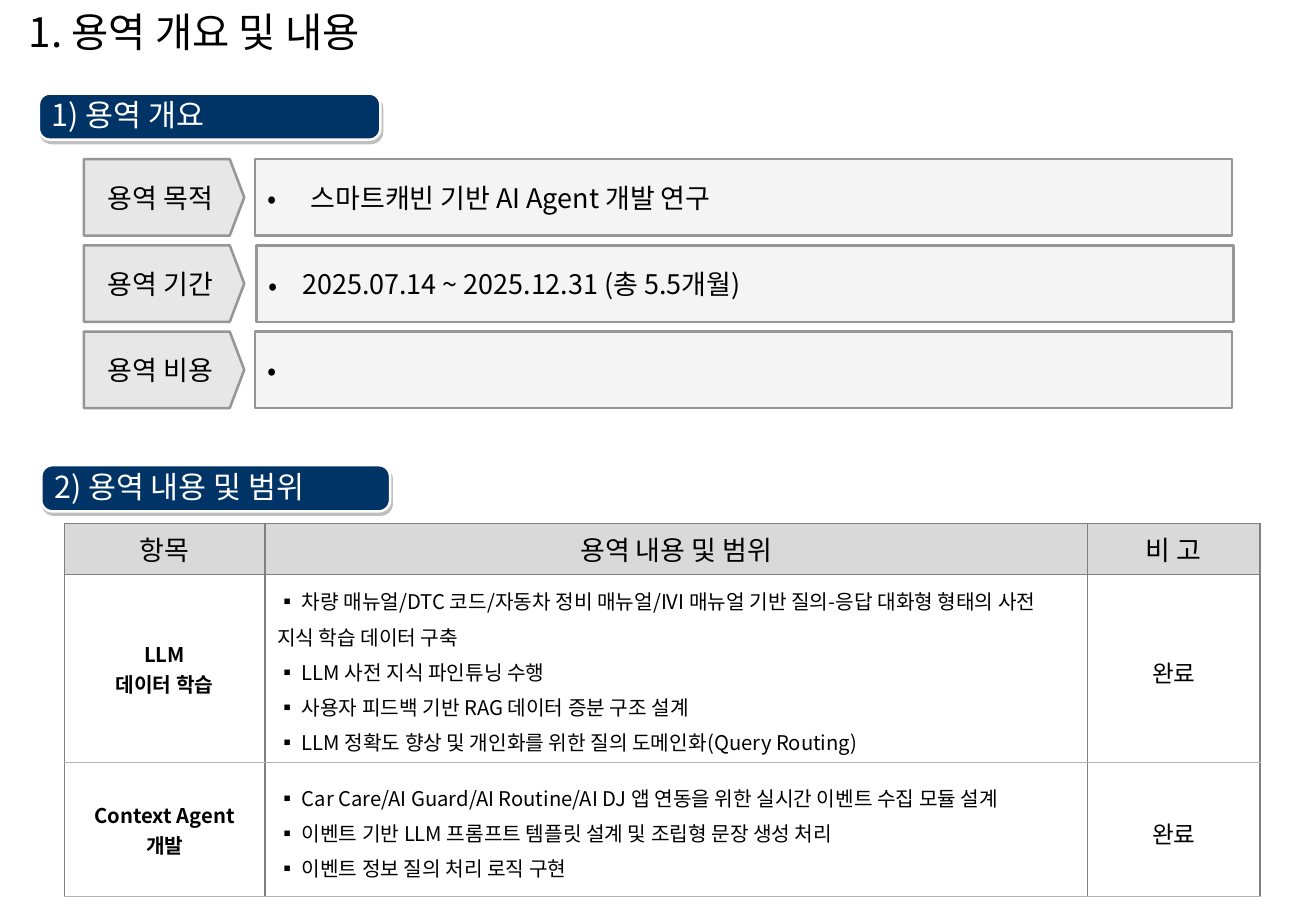
from lxml.etree import SubElement
from pptx import Presentation
from pptx.dml.color import RGBColor
from pptx.enum.shapes import MSO_SHAPE as SHAPE
from pptx.enum.text import MSO_ANCHOR as ANCHOR, PP_ALIGN as ALIGN
from pptx.oxml.ns import qn
from pptx.util import Pt

PX = 9144
FONT = "Noto Sans CJK KR"
COLORS = {
    "black": "000000", "white": "FFFFFF", "navy": "003366", "pale": "DDDDDD",
    "edge": "969696", "header": "D9D9D9", "grid": "808080", "soft_grid": "B3B3B3",
}


def rgb(name):
    return RGBColor.from_string(COLORS[name])


def write(frame, lines, size, color="black", align=ALIGN.LEFT, bold=False,
          spacing=None, bullet=None, indent=0):
    frame.word_wrap = True
    frame.vertical_anchor = ANCHOR.MIDDLE
    frame.text = "\n".join(lines)
    for paragraph in frame.paragraphs:
        paragraph.alignment = align
        if spacing:
            paragraph.line_spacing = spacing
        if bullet:
            props = paragraph._p.get_or_add_pPr()
            props.set("marL", str(indent * PX))
            props.set("indent", str(-indent * PX))
            SubElement(props, qn("a:buFont"), typeface=FONT)
            SubElement(props, qn("a:buChar"), char=bullet)
        for run in paragraph.runs:
            run.font.size = Pt(size)
            run.font.bold = bold
            run.font.color.rgb = rgb(color)
            run.font.name = FONT
            run._r.rPr.set("kern", "0")
            latin = run._r.rPr.find(qn("a:latin"))
            latin.addnext(latin.makeelement(qn("a:ea"), typeface=FONT))


deck = Presentation()
deck.slide_width, deck.slide_height = 1083 * PX, 750 * PX
slide = deck.slides.add_slide(deck.slide_layouts[6])
shapes = slide.shapes

title = shapes.add_textbox(14 * PX, 2 * PX, 950 * PX, 47 * PX)
write(title.text_frame, ["1. 용역 개요 및 내용"], 24)

for heading, left, top, width in [
    ("1) 용역 개요", 32, 77, 281),
    ("2) 용역 내용 및 범위", 34, 383, 287),
]:
    banner = shapes.add_shape(SHAPE.ROUNDED_RECTANGLE, left * PX, top * PX, width * PX, 38 * PX)
    banner.adjustments[0] = 0.24
    banner.fill.solid()
    banner.fill.fore_color.rgb = rgb("navy")
    banner.line.color.rgb = rgb("white")
    banner.line.width = Pt(1.5)
    banner.shadow.inherit = False
    effects = banner._element.spPr.find(qn("a:effectLst"))
    shadow = SubElement(effects, qn("a:outerShdw"), blurRad="0", dist=str(Pt(2.2)),
                        dir=str(63 * 60000), algn="ctr", rotWithShape="0")
    shade = SubElement(shadow, qn("a:srgbClr"), val=COLORS["grid"])
    SubElement(shade, qn("a:alpha"), val="50000")
    frame = banner.text_frame
    frame.margin_left = 8 * PX
    frame.margin_top = frame.margin_right = frame.margin_bottom = 0
    write(frame, [heading], 18, "white", spacing=0.9)

for row, (label, detail, left, indent) in enumerate([
    ("용역 목적", "스마트캐빈 기반 AI Agent 개발 연구", 210, 36),
    ("용역 기간", "2025.07.14 ~ 2025.12.31 (총 5.5개월)", 211, 28),
    ("용역 비용", "", 210, 0),
]):
    top = 131 + 71 * row
    tag = shapes.add_shape(SHAPE.PENTAGON, 69 * PX, top * PX, 132 * PX, 63 * PX)
    tag.adjustments[0] = 0.19
    box = shapes.add_shape(SHAPE.RECTANGLE, left * PX, top * PX, 804 * PX, 63 * PX)
    for panel, opacity in [(tag, 70), (box, 30)]:
        panel.shadow.inherit = False
        panel.fill.solid()
        panel.fill.fore_color.rgb = rgb("pale")
        tint = panel._element.spPr.find(qn("a:solidFill"))[0]
        SubElement(tint, qn("a:alpha"), val=str(opacity * 1000))
        panel.line.color.rgb = rgb("edge")
        panel.line.width = Pt(1.5)
    write(tag.text_frame, [label], 16, align=ALIGN.CENTER)
    if detail:
        write(box.text_frame, [detail], 16, bullet="•", indent=indent)
    else:
        write(box.text_frame, ["•"], 16)

scope_rows = [
    (["항목"], ["용역 내용 및 범위"], ["비 고"]),
    (["LLM", "데이터 학습"], [
        " 차량 매뉴얼/DTC 코드/자동차 정비 매뉴얼/IVI 매뉴얼 기반 질의-응답 대화형 형태의 사전 지식 학습 데이터 구축",
        " LLM 사전 지식 파인튜닝 수행",
        " 사용자 피드백 기반 RAG 데이터 증분 구조 설계",
        " LLM 정확도 향상 및 개인화를 위한 질의 도메인화(Query Routing)",
    ], ["완료"]),
    (["Context Agent", "개발"], [
        " Car Care/AI Guard/AI Routine/AI DJ 앱 연동을 위한 실시간 이벤트 수집 모듈 설계",
        " 이벤트 기반 LLM 프롬프트 템플릿 설계 및 조립형 문장 생성 처리",
        " 이벤트 정보 질의 처리 로직 구현",
    ], ["완료"]),
]
body_styles = [
    {"size": 12, "align": ALIGN.CENTER, "bold": True},
    {"size": 12, "spacing": 1.2, "bullet": "▪"},
    {"size": 14, "align": ALIGN.CENTER, "spacing": 1.2},
]
scope = shapes.add_table(3, 3, 53 * PX, 431 * PX, 984 * PX, 307 * PX).table
scope.first_row = scope.horz_banding = False
for column, width in zip(scope.columns, [165, 677, 142]):
    column.width = width * PX
for row, height in zip(scope.rows, [42, 155, 110]):
    row.height = height * PX

for r, entries in enumerate(scope_rows):
    edges = {
        "L": "grid", "R": "grid",
        "T": "soft_grid" if r == 2 else "grid",
        "B": "soft_grid" if r else "grid",
    }
    for c, lines in enumerate(entries):
        cell = scope.cell(r, c)
        props = cell._tc.get_or_add_tcPr()
        for side, color in edges.items():
            border = SubElement(props, qn(f"a:ln{side}"), w=str(Pt(1)))
            paint = SubElement(border, qn("a:solidFill"))
            SubElement(paint, qn("a:srgbClr"), val=COLORS[color])
        if r:
            cell.fill.background()
            write(cell.text_frame, lines, **body_styles[c])
        else:
            cell.fill.solid()
            cell.fill.fore_color.rgb = rgb("header")
            write(cell.text_frame, lines, 16, align=ALIGN.CENTER)
        cell.vertical_anchor = ANCHOR.MIDDLE

deck.save("out.pptx")
